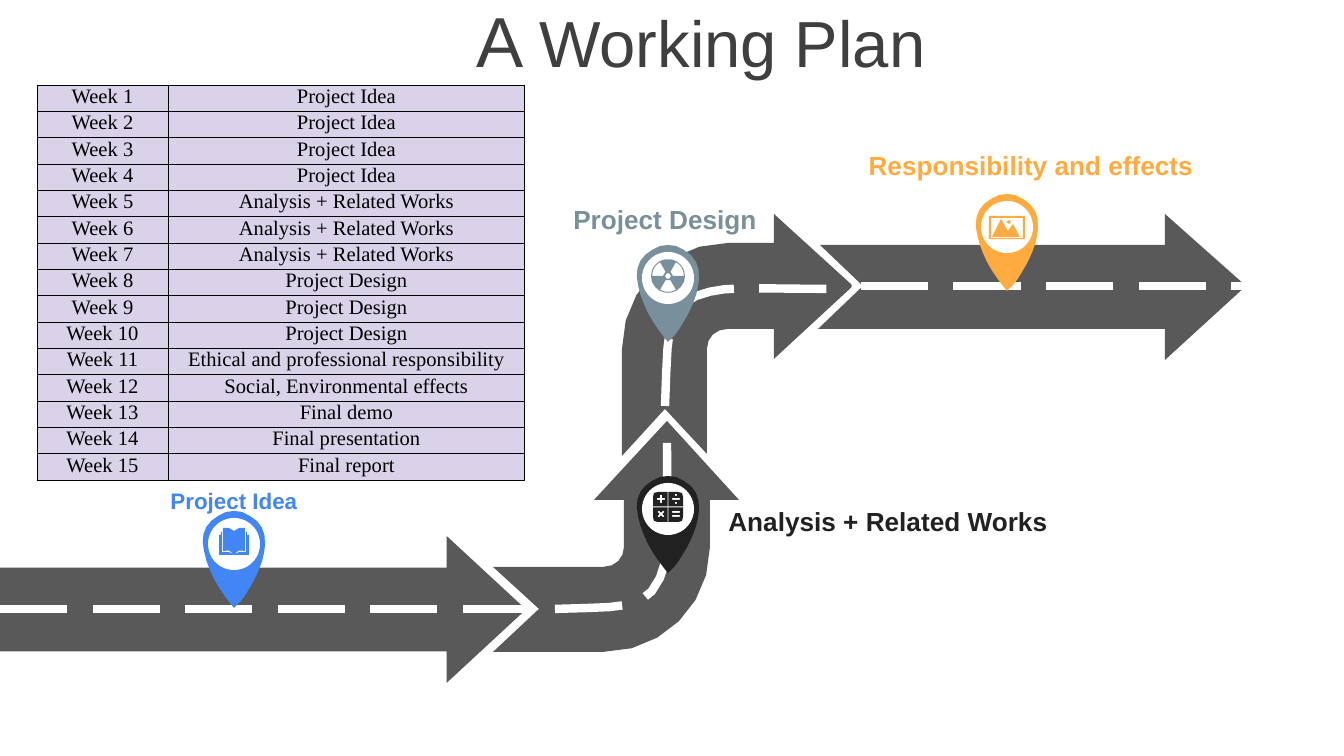
from itertools import product
from math import cos, dist, radians, sin

from lxml import etree
from pptx import Presentation
from pptx import util as u
from pptx.dml.color import RGBColor
from pptx.enum import dml, shapes, text
from pptx.oxml.ns import qn

PX = 914400 / 134.4
FINE = 10  # outline points are kept to a tenth of a px
HUES = {"road": "595959", "white": "FFFFFF", "ink": "212121", "slate": "78909C",
        "amber": "FFAB40", "blue": "4285F4", "title": "3F3F3F",
        "cell": "D9D2E9", "black": "000000"}
hue = {name: RGBColor.from_string(code) for name, code in HUES.items()}


def trace(loop, x, y):
    """Turn a loop of points and six-number Bezier curves into plain points."""
    pts = []
    for step in loop:
        if len(step) == 2:
            pts.append(step)
            continue
        a, b, c, d = pts[-1], step[:2], step[2:4], step[4:]
        count = max(2, min(6, int(dist(a, d) / 7)))
        for i in range(1, count + 1):
            t = i / count
            s = 1 - t
            pts.append(tuple(s**3 * a[k] + 3 * s * s * t * b[k] + 3 * s * t * t * c[k]
                             + t**3 * d[k] for k in (0, 1)))
    return [((x + p) * FINE, (y + q) * FINE) for p, q in pts]


def draw(host, loops, tone, x=0, y=0, shut=True):
    """Add one outline; inner loops cut holes in it."""
    pen = None
    for loop in loops:
        pts = trace(loop, x, y)
        if pen is None:
            pen = host.build_freeform(*pts[0], scale=PX / FINE)
        else:
            pen.move_to(*pts[0])
        pen.add_line_segments(pts[1:], close=shut)
    form = pen.convert_to_shape()
    form.shadow.inherit = False
    if shut:
        form.fill.solid()
        form.fill.fore_color.rgb = hue[tone]
        form.line.fill.background()
    else:
        form.fill.background()
        form.line.color.rgb = hue[tone]
    return form


deck = Presentation()
deck.slide_width, deck.slide_height = round(1344 * PX), round(756 * PX)
slide = deck.slides.add_slide(deck.slide_layouts[5])
art = slide.shapes

# Title
title = art.title
title.left, title.top, title.width, title.height = (round(n * PX) for n in (368, 13, 607, 73))
frame = title.text_frame
frame.auto_size = text.MSO_AUTO_SIZE.NONE
frame.vertical_anchor = text.MSO_ANCHOR.MIDDLE
frame.margin_left, frame.margin_right = round(68 * PX), round(9 * PX)
frame.margin_top = frame.margin_bottom = round(5 * PX)
para = frame.paragraphs[0]
para.alignment = text.PP_ALIGN.CENTER
para.line_spacing, para.space_after = 0.7, u.Pt(12)
for words, size in (("A ", 37.9), ("Working Plan", 34.9)):
    run = para.add_run()
    run.text = words
    run.font.name, run.font.size = "Arial", u.Pt(size)
    run.font.color.rgb = hue["title"]

# Road pieces
bend_right = [(622, 456), (665, 409), (707, 454), (707, 349), (707, 337, 716, 329, 728, 329),
              (774, 329), (774, 359), (853, 286), (774, 214), (774, 243), (728, 243),
              (669, 243, 622, 290, 622, 349)]
bend_up = [(493, 652), (603, 652), (663, 652, 710, 605, 710, 547), (710, 500), (739, 500),
           (667, 421), (594, 500), (624, 500), (624, 547), (624, 558, 616, 567, 603, 567),
           (493, 567), (539, 609)]
last = [(1165, 360), (1246, 286), (1165, 214), (1165, 245), (820, 245), (863, 286),
        (818, 329), (1165, 329)]
for piece in (bend_right, bend_up, last):
    draw(art, [piece], "road")
first = art.add_shape(shapes.MSO_SHAPE.RIGHT_ARROW,
                      *(round(n * PX) for n in (0, 536, 526, 147)))
first.adjustments[0], first.adjustments[1] = 0.57, 0.54
first.shadow.inherit = False
first.fill.solid()
first.fill.fore_color.rgb = hue["road"]
first.line.fill.background()

# Dashed lane marks
lanes = []
for x1, x2, y in ((0, 526, 609), (861, 1246, 286)):
    lane = art.add_connector(shapes.MSO_CONNECTOR.STRAIGHT,
                             *(round(n * PX) for n in (x1, y, x2, y)))
    etree.SubElement(lane._element.spPr, qn("a:effectLst"))
    lanes.append(lane)
for arc in ([(555, 609), (624, 607, 645, 610, 660, 578), (671, 550, 667, 539, 667, 422)],
            [(665, 406), (668, 333, 665, 310, 696, 296), (726, 285, 737, 289, 853, 289)]):
    lanes.append(draw(art, [arc], "white", shut=False))
for lane in lanes:
    lane.line.color.rgb = hue["white"]
    lane.line.width = u.Pt(4.5)
    lane.line.dash_style = dml.MSO_LINE.LONG_DASH

# Icons, measured from the middle of a pin's disc
ring = [(cos(radians(a)), sin(radians(a))) for a in range(0, 360, 20)]
key = [(0.5, 0.5), (15, 0.5), (15, 10), (14, 14), (10, 15), (0.5, 15)]
calc = [[(p * i, q * j) for i, j in key] for p, q in product((-1, 1), repeat=2)]
plus = [(-1, -4), (1, -4), (1, -1), (4, -1), (4, 1), (1, 1),
        (1, 4), (-1, 4), (-1, 1), (-4, 1), (-4, -1), (-1, -1)]
calc.append([(i - 7, j - 8) for i, j in plus])
calc.append([((i - j) * 0.7 - 7, (i + j) * 0.7 + 7) for i, j in plus])
for wide, y in ((4, -8), (4, 5), (4, 9), (1, -12), (1, -4)):
    calc.append([(8 - wide, y - 1), (8 + wide, y - 1), (8 + wide, y + 1), (8 - wide, y + 1)])

atom = [[(17 * i, 17 * j) for i, j in ring], [(3 * i, 3 * j) for i, j in ring[::3]]]
for start in (3, 9, 15):
    wedge = [ring[n % 18] for n in range(start, start + 4)]
    atom.append([(16 * i, 16 * j) for i, j in wedge] + [(5 * i, 5 * j) for i, j in wedge[::-3]])

photo = [[(-w, t), (w, t), (w, b), (-w, b)] for w, t, b in ((18, -11, 12), (16, -9, 11))]
photo.append([(-6, -8), (1, 4), (6, -3), (13, 10), (-15, 10)])
photo.append([(2 + 2 * i, 2 * j - 5) for i, j in ring[::3]])

book = [[(-15, -9), (-13, -9), (-13, -12), (-11, -12), (-11, -16), (-7, -17, -3, -16, 0, -13),
         (3, -16, 7, -17, 11, -16), (11, -12), (13, -12), (13, -9), (15, -9), (15, 11), (-15, 11)],
        [(-0.25, -13), (0.25, -13), (0.25, 10), (-0.25, 10)]]
for m in (-1, 1):
    book.append([(12 * m, -12), (11 * m, -12), (11 * m, 7), (7 * m, 6, 3 * m, 6, 0, 10),
                 (4 * m, 8, 8 * m, 7, 12 * m, 8)])

# Map pins
pin = [(0, 0), (5, 0, 11, 1, 16, 5), (27, 11, 32, 21, 31, 34), (30, 50, 23, 65, 15, 78),
       (11, 85, 7, 91, 0, 97), (-4, 92), (-16, 77, -26, 60, -30, 40),
       (-34, 25, -29, 12, -16, 5), (-11, 1, -5, 0, 0, 0)]
for x, y, tone, icon, drop in ((668, 476, "ink", calc, 31), (668, 245, "slate", atom, 31),
                               (1007, 194, "amber", photo, 33), (234, 511, "blue", book, 33)):
    mark = art.add_group_shape()
    draw(mark.shapes, [pin], tone, x, y)
    disc = mark.shapes.add_shape(shapes.MSO_SHAPE.OVAL,
                                 *(round(n * PX) for n in (x - 26, y + 7, 52, 52)))
    disc.shadow.inherit = False
    disc.fill.solid()
    disc.fill.fore_color.rgb = hue["white"]
    disc.line.fill.background()
    draw(art, icon, tone, x, y + drop)

# Stage labels
for words, tone, size, *spot in (
        ("Project Idea", "blue", 12, 144, 482, 180, 38),
        ("Analysis + Related Works", "ink", 14, 691, 500, 394, 42),
        ("Project Design", "slate", 14, 559, 198, 212, 42),
        ("Responsibility and effects", "amber", 14, 843, 136, 376, 59)):
    frame = art.add_textbox(*(round(n * PX) for n in spot)).text_frame
    frame.word_wrap = True
    frame.vertical_anchor = text.MSO_ANCHOR.MIDDLE
    frame.margin_left = frame.margin_right = round(9 * PX)
    frame.margin_top = frame.margin_bottom = round(5 * PX)
    para = frame.paragraphs[0]
    para.alignment = text.PP_ALIGN.CENTER
    run = para.add_run()
    run.text = words
    run.font.name, run.font.size, run.font.bold = "Arial", u.Pt(size), True
    run.font.color.rgb = hue[tone]

# Weekly plan
plan = (["Project Idea"] * 4 + ["Analysis + Related Works"] * 3 + ["Project Design"] * 3
        + ["Ethical and professional responsibility", "Social, Environmental effects",
           "Final demo", "Final presentation", "Final report"])
grid = art.add_table(len(plan), 2, *(round(n * PX) for n in (37, 85, 488, 396))).table
grid.first_row = grid.horz_banding = False
for col, wide in zip(grid.columns, (131, 357)):
    col.width = round(wide * PX)
for week, task in enumerate(plan, 1):
    for cell, words in zip(grid.rows[week - 1].cells, (f"Week {week}", task)):
        cell.margin_left = cell.margin_right = round(9 * PX)
        cell.margin_top = cell.margin_bottom = 0
        for side in ("lnL", "lnR", "lnT", "lnB"):
            edge = etree.SubElement(cell._tc.get_or_add_tcPr(), qn(f"a:{side}"), w="6350")
            paint = etree.SubElement(edge, qn("a:solidFill"))
            etree.SubElement(paint, qn("a:srgbClr"), val=HUES["black"])
        cell.fill.solid()
        cell.fill.fore_color.rgb = hue["cell"]
        para = cell.text_frame.paragraphs[0]
        para.alignment = text.PP_ALIGN.CENTER
        run = para.add_run()
        run.text = words
        run.font.name, run.font.size = "Times New Roman", u.Pt(11)
        run.font.color.rgb = hue["black"]

deck.save("out.pptx")
